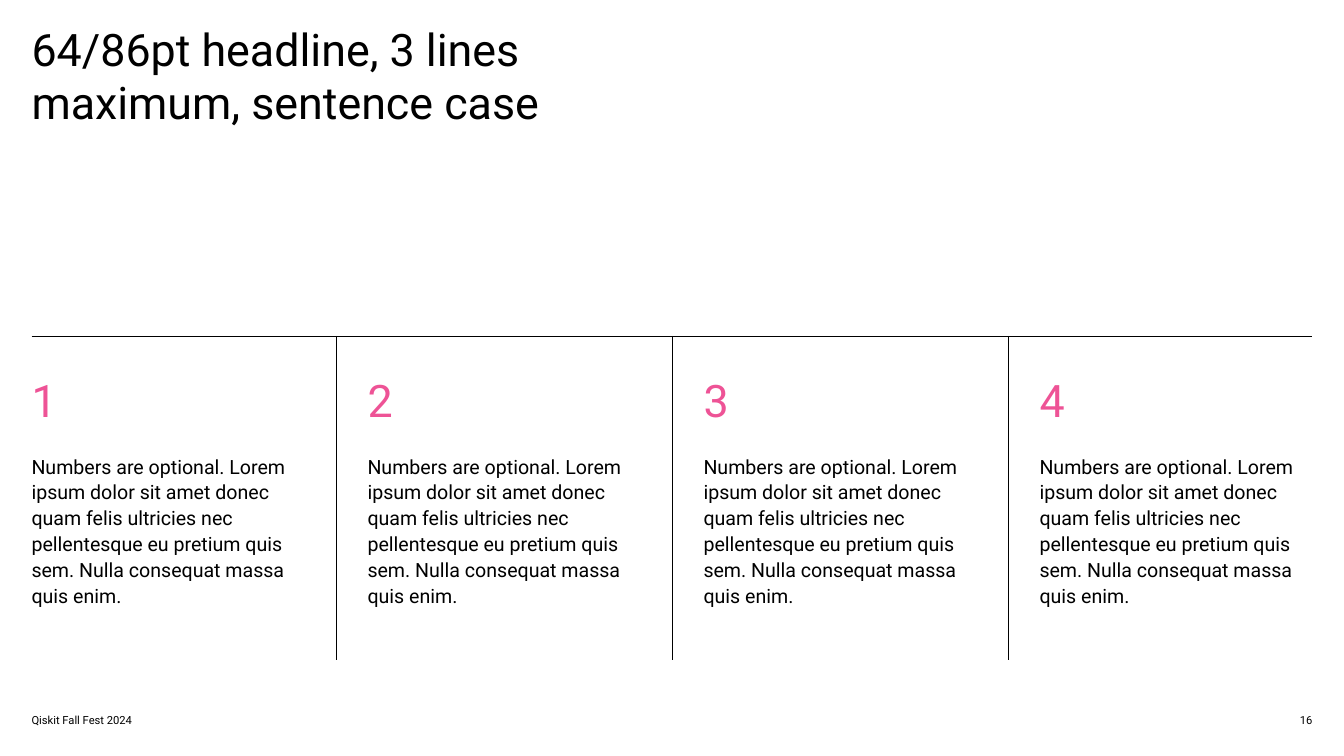
from dataclasses import dataclass

from lxml.etree import SubElement
from pptx import Presentation
from pptx.dml.color import RGBColor
from pptx.enum.shapes import MSO_CONNECTOR
from pptx.enum.text import MSO_ANCHOR, PP_ALIGN
from pptx.oxml.ns import qn
from pptx.util import Cm, Pt


@dataclass(frozen=True)
class Theme:
    font: str = "Roboto"
    ink: RGBColor = RGBColor(0x00, 0x00, 0x00)
    pink: RGBColor = RGBColor(0xEE, 0x53, 0x96)
    paper: RGBColor = RGBColor(0xFF, 0xFF, 0xFF)
    head: int = 64
    body: int = 28
    small: int = 16
    rule: int = 1


class Deck:
    def __init__(self, theme, slide):
        self.theme = theme
        self.slide = slide
        fill = slide.background.fill
        fill.solid()
        fill.fore_color.rgb = theme.paper

    def frame(self, left, top, width, height, anchor=MSO_ANCHOR.TOP):
        box = self.slide.shapes.add_textbox(Cm(left), Cm(top), Cm(width), Cm(height))
        frame = box.text_frame
        frame.word_wrap = True
        frame.vertical_anchor = anchor
        frame.margin_left = frame.margin_right = 0
        frame.margin_top = frame.margin_bottom = 0
        return frame

    def style(self, para, text, size, color=None):
        para.text = text
        para.font.name = self.theme.font
        para.font.size = Pt(size)
        para.font.color.rgb = color or self.theme.ink

    def label(self, text, size, left, top, width, height,
              anchor=MSO_ANCHOR.TOP, align=PP_ALIGN.LEFT):
        para = self.frame(left, top, width, height, anchor).paragraphs[0]
        para.alignment = align
        self.style(para, text, size)

    def column(self, number, text, left, top, width, height):
        frame = self.frame(left, top, width, height)
        first, second = frame.paragraphs[0], frame.add_paragraph()
        self.style(first, str(number), self.theme.head, self.theme.pink)
        self.style(second, text, self.theme.body)
        first.line_spacing = second.line_spacing = 1.1
        second.space_before = Pt(37)

    def line(self, left, top, right, bottom):
        line = self.slide.shapes.add_connector(
            MSO_CONNECTOR.STRAIGHT, Cm(left), Cm(top), Cm(right), Cm(bottom))
        line.line.color.rgb = self.theme.ink
        line.line.width = Pt(self.theme.rule)
        SubElement(line._element.spPr, qn("a:effectLst"))


WIDE, HIGH = 67.74, 38.1
EDGE = 1.59
COUNT = 4
STEP = WIDE / COUNT
RULE = 16.93
BODY = ("Numbers are optional. Lorem ipsum dolor sit amet donec quam felis "
        "ultricies nec pellentesque eu pretium quis sem. Nulla consequat "
        "massa quis enim.")


def main():
    show = Presentation()
    show.slide_width, show.slide_height = Cm(WIDE), Cm(HIGH)
    theme = Theme()
    deck = Deck(theme, show.slides.add_slide(show.slide_layouts[6]))

    # Headline
    deck.label("64/86pt headline, 3 lines maximum, sentence case",
               theme.head, EDGE, 1.07, 29.44, 12.7)

    # Numbered columns under a rule
    deck.line(EDGE, RULE, WIDE - EDGE, RULE)
    for i in range(COUNT):
        left = i * STEP
        if i:
            deck.line(left, RULE, left, 33.25)
        deck.column(i + 1, BODY, left + EDGE, 18.5, 13.74, 14.86)

    # Footer
    deck.label("Qiskit Fall Fest 2024", theme.small,
               EDGE, 35.56, 13.77, 1.07, MSO_ANCHOR.BOTTOM)
    deck.label("16", theme.small, WIDE - EDGE - 0.71, 35.92, 0.71, 0.71,
               MSO_ANCHOR.MIDDLE, PP_ALIGN.RIGHT)

    show.save("out.pptx")


if __name__ == "__main__":
    main()
